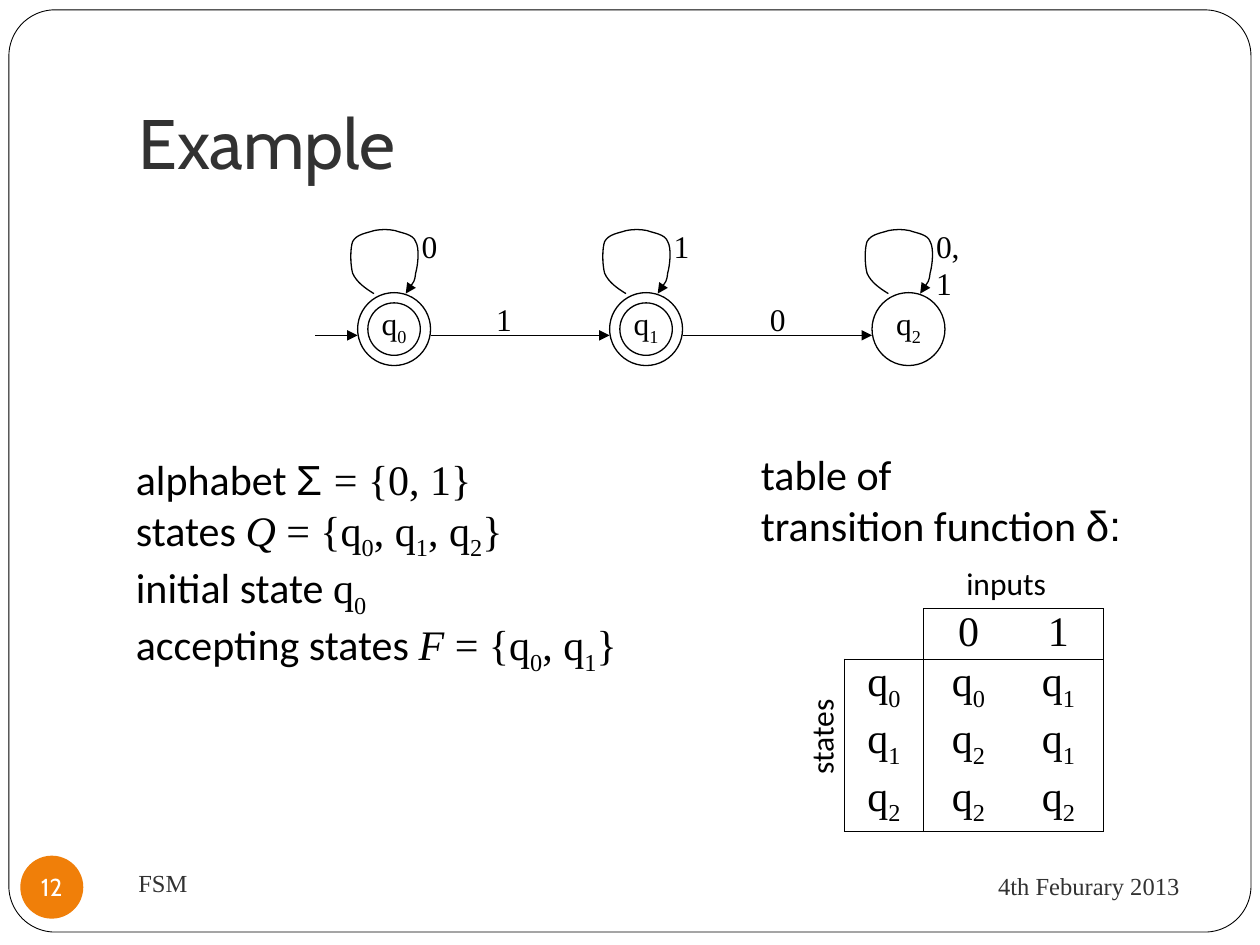
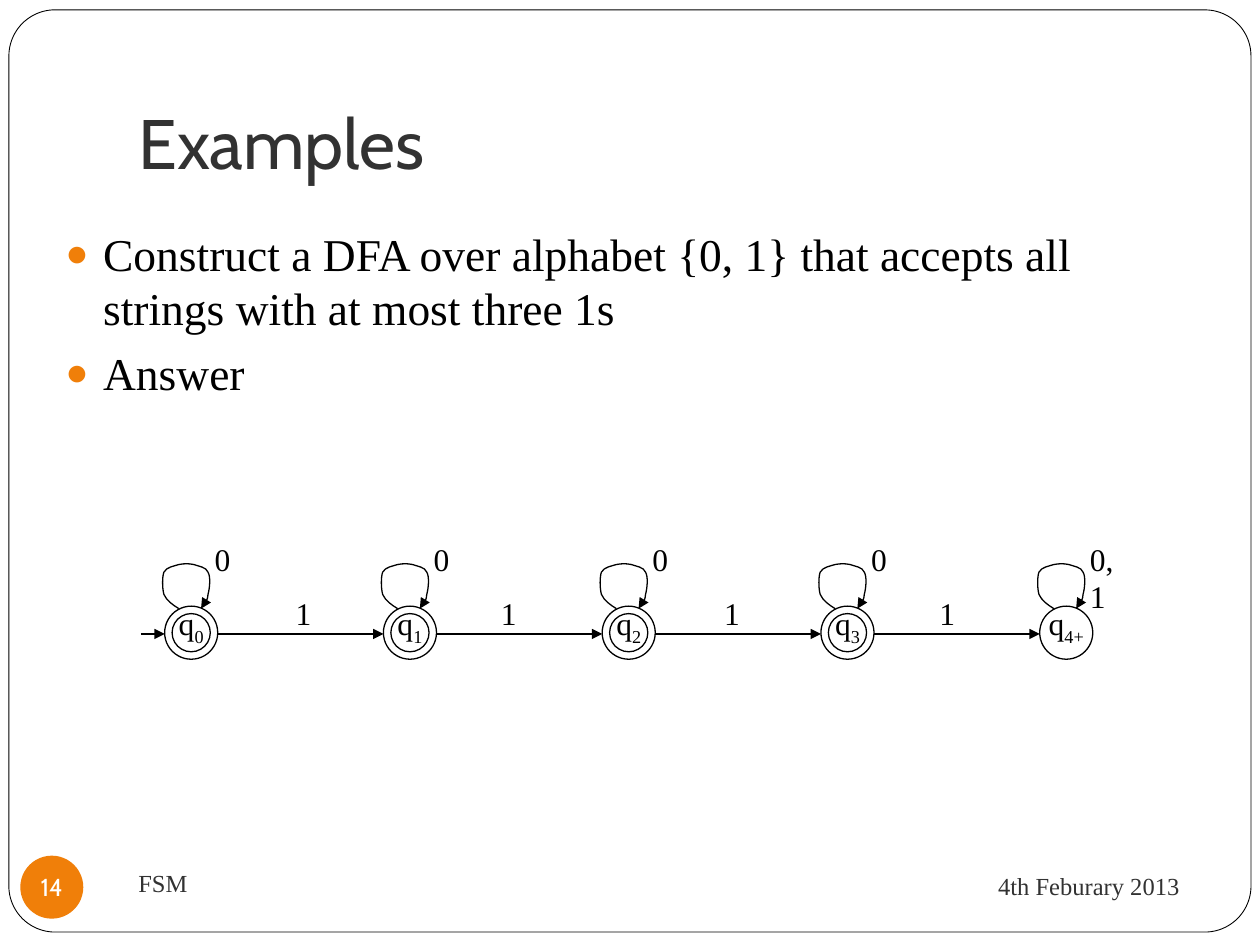
import itertools

import pptx
import pptx.dml.color
import pptx.enum.shapes
import pptx.enum.text
import pptx.oxml
import pptx.oxml.ns
import pptx.util
from lxml import etree

Cm, Pt = pptx.util.Cm, pptx.util.Pt
qn = pptx.oxml.ns.qn
SHAPE = pptx.enum.shapes.MSO_SHAPE
ALIGN = pptx.enum.text.PP_ALIGN
ANCHOR = pptx.enum.text.MSO_ANCHOR

COLOURS = {"ink": "000000", "paper": "FFFFFF", "heading": "323232", "accent": "F07F09"}
SERIF, SANS, GREEK, DISPLAY = "Times New Roman", "Calibri", "Arial", "Cabin"
MARGINS = ("margin_left", "margin_top", "margin_right", "margin_bottom")
INSETS = (0.25, 0.13, 0.25, 0.13)

TITLE = {"name": DISPLAY, "size": 40, "colour": "heading"}
FOOTER = {"name": SERIF, "size": 14, "colour": "heading"}
BADGE = {"name": DISPLAY, "size": 14, "colour": "paper"}
BODY = {"name": SERIF, "size": 26}
FORMULA = {"name": SERIF, "size": 24}
PROSE = {"name": SANS, "size": 24}
LABEL = {"name": SERIF, "size": 18}
AXIS = {"name": SANS, "size": 18}
SIGN = {"name": GREEK, "size": 24}
SYMBOL = {**FORMULA, "italic": True}

# Start point, then three points for each Bézier curve, in cm
LOOP = [
    (0.48, 1.3),
    (0.3, 1.19), (0.13, 1.07), (0.05, 0.89),
    (0, 0.71), (0, 0.38), (0.05, 0.25),
    (0.13, 0.1), (0.33, 0.08), (0.48, 0.03),
    (0.64, 0), (0.76, 0), (0.91, 0.03),
    (1.04, 0.08), (1.27, 0.1), (1.32, 0.25),
    (1.4, 0.38), (1.37, 0.71), (1.32, 0.89),
    (1.3, 1.07), (1.19, 1.19), (1.12, 1.3),
]

# Vertical places are measured from the top of the diagram
LARGE = {
    "ring": 1.47, "ring_top": 1.45, "name_rise": 0.13, "loop_scale": 1,
    "loop_shift": (-0.15, -1.28), "loop_label_shift": (1.19, -0.18),
    "arrow_top": 2.31, "arrow_label_top": 1.47,
}
SMALL = {
    "ring": 1.07, "ring_top": 1.5, "name_rise": 0.2, "loop_scale": 0.7,
    "loop_shift": (-0.05, -0.86), "loop_label_shift": (0.81, -0.61),
    "arrow_top": 2.06, "arrow_label_top": 1.12,
}


def rgb(name):
    return pptx.dml.color.RGBColor.from_string(COLOURS[name])


def lengths(values):
    return [Cm(value) for value in values]


def add_spans(para, spans):
    """Add (text, format) spans; text between tildes is subscript."""
    for text, style in spans:
        for index, piece in enumerate(text.split("~")):
            if not piece:
                continue
            span = para.add_run()
            span.text = piece
            values = {**style, "size": Pt(style["size"])}
            span.font.color.rgb = rgb(values.pop("colour", "ink"))
            for key, value in values.items():
                setattr(span.font, key, value)
            if index % 2:
                span._r.get_or_add_rPr().set("baseline", "-25000")


def fill_frame(frame, paras, align=ALIGN.LEFT, anchor=ANCHOR.TOP, wrap=True, insets=INSETS):
    settings = dict(zip(MARGINS, lengths(insets)), word_wrap=wrap, vertical_anchor=anchor)
    for key, value in settings.items():
        setattr(frame, key, value)
    for index, spans in enumerate(paras):
        para = frame.add_paragraph() if index else frame.paragraphs[0]
        para.alignment = align
        add_spans(para, spans)


def add_text(page, box, paras, **settings):
    shape = page.shapes.add_textbox(*lengths(box))
    fill_frame(shape.text_frame, paras, **settings)
    return shape


def set_line(shape, width=0.75):
    shape.line.color.rgb = rgb("ink")
    shape.line.width = Pt(width)


def add_arrowhead(shape):
    etree.SubElement(shape.line._get_or_add_ln(), qn("a:tailEnd"), type="triangle")


def add_preset(page, kind, box, fill=None, line=None):
    shape = page.shapes.add_shape(kind, *lengths(box))
    shape.shadow.inherit = False
    if fill:
        shape.fill.solid()
        shape.fill.fore_color.rgb = rgb(fill)
    else:
        shape.fill.background()
    if line:
        set_line(shape, line)
    else:
        shape.line.fill.background()
    return shape


def add_arrow(page, start, end, top):
    arrow = page.shapes.add_connector(
        pptx.enum.shapes.MSO_CONNECTOR.STRAIGHT, *lengths((start, top, end, top)))
    set_line(arrow)
    add_arrowhead(arrow)
    etree.SubElement(arrow._element.spPr, qn("a:effectLst"))


def add_loop(page, left, top, scale):
    points = [(Cm(left + x * scale), Cm(top + y * scale)) for x, y in LOOP]
    builder = page.shapes.build_freeform(*points[0], scale=1.0)
    builder.add_line_segments(points[1:], close=False)
    loop = builder.convert_to_shape()
    outline = loop._element.find(".//" + qn("a:path"))
    segments = outline.findall(qn("a:lnTo"))
    for start in range(0, len(segments), 3):
        curve = etree.SubElement(outline, qn("a:cubicBezTo"))
        for segment in segments[start:start + 3]:
            curve.append(segment[0])
            outline.remove(segment)
    loop.shadow.inherit = False
    loop.fill.background()
    set_line(loop)
    add_arrowhead(loop)


def add_state(page, left, top, name, loop_label, accepting, look):
    ring = look["ring"]
    add_preset(page, SHAPE.OVAL, (left, top, ring, ring), line=0.75)
    if accepting:
        inset = ring * 0.14
        inner = ring - 2 * inset
        add_preset(page, SHAPE.OVAL, (left + inset, top + inset, inner, inner), line=0.75)
    name_box = (left + ring / 2 - 0.65, top + ring / 2 - look["name_rise"] - 0.51, 1.3, 1.02)
    add_text(page, name_box, [[(name, LABEL)]], align=ALIGN.CENTER, wrap=False)

    loop_left, loop_top = left + look["loop_shift"][0], top + look["loop_shift"][1]
    add_loop(page, loop_left, loop_top, look["loop_scale"])
    dx, dy = look["loop_label_shift"]
    add_text(page, (loop_left + dx, loop_top + dy, 1.25, 1.02), [[(loop_label, LABEL)]])


def add_automaton(page, corner, states, arrows, look):
    """Draw (left, name, loop label) states; the last one does not accept."""
    left, top = corner
    lefts = [left + state[0] for state in states]
    for index, (_, name, loop_label) in enumerate(states):
        add_state(page, lefts[index], top + look["ring_top"], name, loop_label,
                  index < len(states) - 1, look)
    arrow_top = top + look["arrow_top"]
    add_arrow(page, left, lefts[0], arrow_top)
    for start, end in itertools.pairwise(lefts):
        add_arrow(page, start + look["ring"], end, arrow_top)
    for label_left, label in arrows:
        box = (left + label_left, top + look["arrow_label_top"], 0.81, 1.02)
        add_text(page, box, [[(label, LABEL)]], align=ALIGN.CENTER, wrap=False)


def set_borders(cell, edges):
    """Draw the named edges (out of L, R, T, B) and clear the others."""
    props = cell._tc.get_or_add_tcPr()
    for index, edge in enumerate("LRTB"):
        line = etree.Element(qn("a:ln" + edge), w=str(Pt(0.75)))
        props.insert(index, line)
        if edge in edges:
            paint = etree.SubElement(line, qn("a:solidFill"))
            etree.SubElement(paint, qn("a:srgbClr"), val=COLOURS["ink"])
        else:
            etree.SubElement(line, qn("a:noFill"))


def add_transition_table(page, corner):
    left, top = corner
    rows = [
        ["", "0", "1"],
        ["q~0~", "q~0~", "q~1~"],
        ["q~1~", "q~2~", "q~1~"],
        ["q~2~", "q~2~", "q~2~"],
    ]
    widths, heights = [1.6, 1.81, 1.81], [0.99, 1.08, 1.08, 1.08]
    box = (left, top, sum(widths), sum(heights))
    table = page.shapes.add_table(len(rows), len(widths), *lengths(box)).table
    table.first_row = table.horz_banding = False
    for column, width in zip(table.columns, widths):
        column.width = Cm(width)
    for r, (row, height) in enumerate(zip(rows, heights)):
        table.rows[r].height = Cm(height)
        for c, value in enumerate(row):
            cell = table.cell(r, c)
            cell.fill.background()
            for margin in MARGINS:
                setattr(cell, margin, 0)
            cell.text_frame.paragraphs[0].alignment = ALIGN.CENTER
            add_spans(cell.text_frame.paragraphs[0], [(value, FORMULA)])
            drawn = {
                "L": c == 1 or (c == 0 and r > 0),
                "R": c in (0, 2),
                "T": r == 1 or (r == 0 and c > 0),
                "B": r in (0, 3),
            }
            set_borders(cell, [edge for edge, shown in drawn.items() if shown])

    add_text(page, (left + 2.21, top - 1.02, 2.18, 1.02), [[("inputs", AXIS)]], wrap=False)
    side = add_text(page, (left - 1.55, top + 2, 2.16, 1.02), [[("states", AXIS)]], wrap=False)
    side.rotation = 270


def add_bullets(page, box, lines):
    shape = add_text(page, box, [[(line, BODY)] for line in lines])
    for index, para in enumerate(shape.text_frame.paragraphs):
        props = para._p.get_or_add_pPr()
        props.set("marL", str(Cm(0.76)))
        props.set("indent", str(-Cm(0.76)))
        colour = etree.SubElement(props, qn("a:buClr"))
        etree.SubElement(colour, qn("a:srgbClr"), val=COLOURS["accent"])
        etree.SubElement(props, qn("a:buSzPct"), val="85000")
        etree.SubElement(props, qn("a:buFont"), typeface=GREEK)
        etree.SubElement(props, qn("a:buChar"), char="●")
        if index:
            para.space_before = Pt(5.8)


def add_page(deck, title, number):
    """Add a slide with the frame, title and footer that all slides share."""
    page = deck.slides.add_slide(deck.slide_layouts[6])
    frame = add_preset(page, SHAPE.ROUNDED_RECTANGLE, (0.18, 0.2, 25.04, 18.59), "paper", 0.5)
    frame.adjustments[0] = 0.05
    add_text(page, (2.54, 0.76, 21.59, 3.18), [[(title, TITLE)]],
             anchor=ANCHOR.BOTTOM, insets=(0.25, 0.13, 0.25, 0.25))
    add_text(page, (17.15, 17.2, 6.88, 1.32), [[("4th Feburary 2013", FOOTER)]],
             align=ALIGN.RIGHT, anchor=ANCHOR.MIDDLE)
    add_text(page, (2.54, 17.15, 11, 1.27), [[("FSM", FOOTER)]], anchor=ANCHOR.MIDDLE)
    badge = add_preset(page, SHAPE.OVAL, (0.41, 17.25, 1.27, 1.27), "accent")
    fill_frame(badge.text_frame, [[(number, BADGE)]], align=ALIGN.CENTER,
               anchor=ANCHOR.MIDDLE, wrap=False, insets=(0, 0, 0, 0))
    return page


def add_definition_page(deck):
    page = add_page(deck, "Example", "12")
    states = [(0.86, "q~0~", "0"), (5.94, "q~1~", "1"), (11.23, "q~2~", "0, 1")]
    add_automaton(page, (6.35, 4.45), states, [(3.4, "1"), (8.92, "0")], LARGE)
    add_text(page, (2.49, 9.02, 10.26, 4.37), [
        [("alphabet ", PROSE), ("Σ ", SIGN), ("= {0, 1}", FORMULA)],
        [("states ", PROSE), ("Q", SYMBOL), (" = {q~0~, q~1~, q~2~}", FORMULA)],
        [("initial state ", PROSE), ("q~0~", FORMULA)],
        [("accepting states ", PROSE), ("F", SYMBOL), (" = {q~0~, q~1~}", FORMULA)],
    ], wrap=False)
    add_text(page, (15.09, 8.92, 7.77, 2.31), [
        [("table of", PROSE)],
        [("transition function ", PROSE), ("δ:", SIGN)],
    ], wrap=False)
    add_transition_table(page, (17.02, 12.27))


def add_exercise_page(deck):
    page = add_page(deck, "Examples", "14")
    add_bullets(page, (1.07, 4.42, 23.22, 6.81), [
        "Construct a DFA over alphabet {0, 1} that accepts all strings with at most three 1s",
        "Answer",
    ])
    names = ["0", "1", "2", "3", "4+"]
    states = [(0.48 + 4.41 * index, f"q~{name}~", "0, 1" if name == "4+" else "0")
              for index, name in enumerate(names)]
    arrows = [(left, "1") for left in (2.87, 7.01, 11.51, 15.85)]
    add_automaton(page, (2.84, 10.72), states, arrows, SMALL)


def main():
    deck = pptx.Presentation()
    deck.slide_width, deck.slide_height = Cm(25.4), Cm(19.05)
    add_definition_page(deck)
    add_exercise_page(deck)
    deck.save("out.pptx")


if __name__ == "__main__":
    main()
